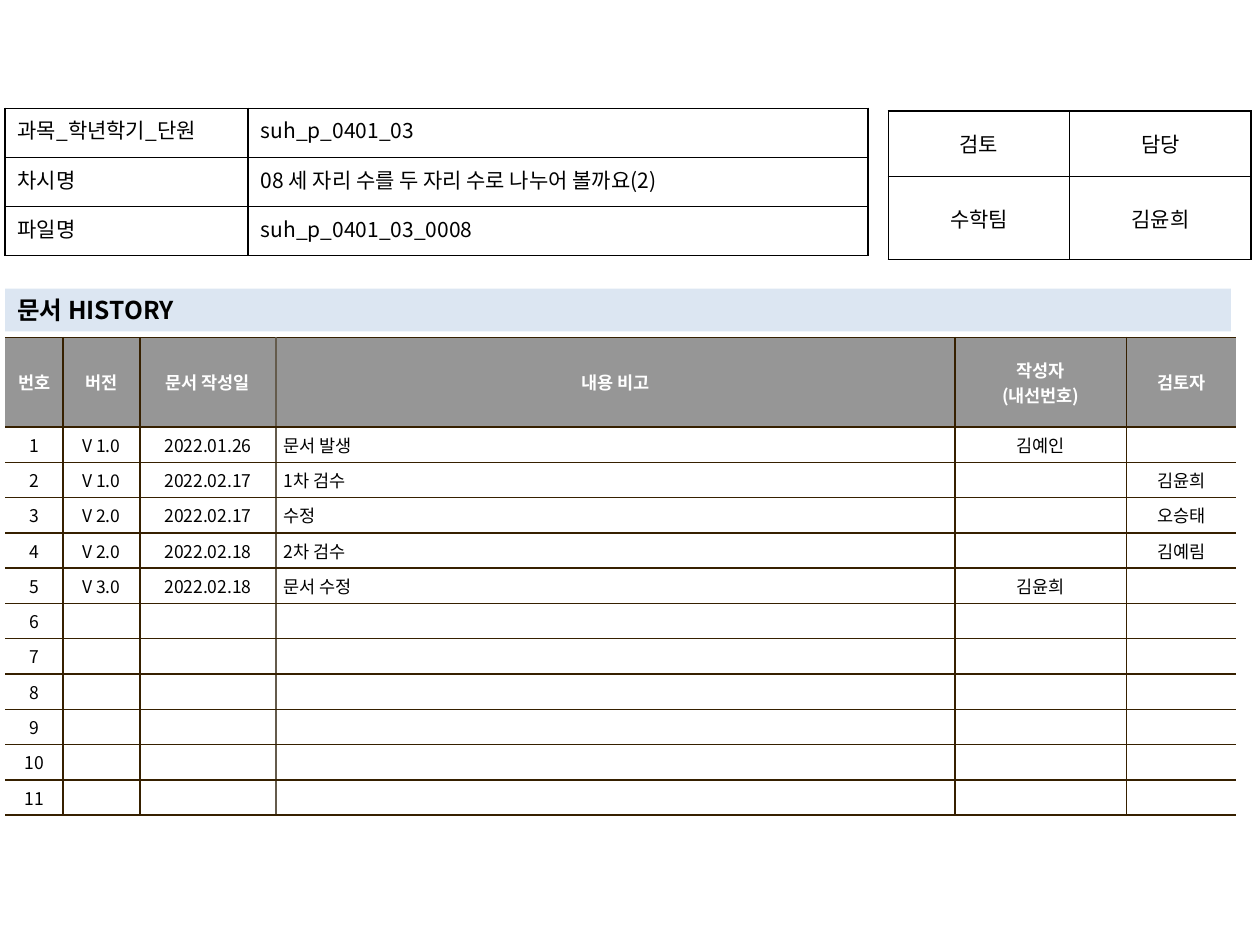
import dataclasses

import lxml.etree
import pptx
import pptx.dml.color
import pptx.enum.shapes
import pptx.enum.text
import pptx.oxml.ns
import pptx.util

Inches = pptx.util.Inches
ALIGN = pptx.enum.text.PP_ALIGN
MIDDLE = pptx.enum.text.MSO_ANCHOR.MIDDLE
TOP = pptx.enum.text.MSO_ANCHOR.TOP
qn = pptx.oxml.ns.qn
rgb = pptx.dml.color.RGBColor.from_string


@dataclasses.dataclass(frozen=True)
class Theme:
    font: str = "Noto Sans CJK KR"
    ink: str = "000000"
    paper: str = "FFFFFF"
    header: str = "969696"
    band: str = "DCE6F2"
    rule: str = "362000"
    soft_rule: str = "645B4C"
    small: int = 10
    body: int = 12
    title: int = 14


theme = Theme()


def write(frame, text, size=theme.body, color=theme.ink, bold=False, align=ALIGN.LEFT):
    """Fill a text frame, one paragraph per line; an empty text keeps its size."""
    for number, line in enumerate(text.split("\n")):
        paragraph = frame.add_paragraph() if number else frame.paragraphs[0]
        paragraph.alignment = align
        if not line:
            lxml.etree.SubElement(paragraph._p, qn("a:endParaRPr"), sz=str(size * 100))
            continue
        run = paragraph.add_run()
        run.text = line
        run.font.name = theme.font
        run.font.size = pptx.util.Pt(size)
        run.font.bold = bold
        run.font.color.rgb = rgb(color)
        lxml.etree.SubElement(run._r.get_or_add_rPr(), qn("a:ea"), typeface=theme.font)


def style_cell(cell, borders, fill=None, anchor=MIDDLE, inset=(0.1, 0.05)):
    """Set borders (colours for left, right, top, bottom; None for no line), fill and insets."""
    cell.margin_left = cell.margin_right = Inches(inset[0])
    cell.margin_top = cell.margin_bottom = Inches(inset[1])
    cell.vertical_anchor = anchor
    properties = cell._tc.get_or_add_tcPr()
    for side, color in zip("LRTB", borders):
        line = lxml.etree.SubElement(properties, qn(f"a:ln{side}"), w="12700")
        if color:
            solid = lxml.etree.SubElement(line, qn("a:solidFill"))
            lxml.etree.SubElement(solid, qn("a:srgbClr"), val=color)
        else:
            lxml.etree.SubElement(line, qn("a:noFill"))
    if fill:
        cell.fill.solid()
        cell.fill.fore_color.rgb = rgb(fill)
    else:
        cell.fill.background()


presentation = pptx.Presentation()
presentation.slide_width = Inches(10)
presentation.slide_height = Inches(7.5)
slide = presentation.slides.add_slide(presentation.slide_layouts[6])

history_rows = [
    ["번호", "버전", "문서 작성일", "내용 비고", "작성자\n(내선번호)", "검토자"],
    ["1", "V 1.0", "2022.01.26", "문서 발생", "김예인", ""],
    ["2", "V 1.0", "2022.02.17", "1차 검수", "", "김윤희"],
    ["3", "V 2.0", "2022.02.17", "수정", "", "오승태"],
    ["4", "V 2.0", "2022.02.18", "2차 검수", "", "김예림"],
    ["5", "V 3.0", "2022.02.18", "문서 수정", "김윤희", ""],
] + [[str(number), "", "", "", "", ""] for number in range(6, 12)]
approval_rows = [["검토", "담당"], ["수학팀", "김윤희"]]
document_rows = [
    ["과목_학년학기_단원", "suh_p_0401_03"],
    ["차시명", "08 세 자리 수를 두 자리 수로 나누어 볼까요(2)"],
    ["파일명", "suh_p_0401_03_0008"],
]

# content, left, top, column widths, row heights
tables = [
    (history_rows, 0.04, 2.68, [0.46, 0.61, 1.08, 5.39, 1.36, 0.87], [0.71] + [0.25] * 11),
    (approval_rows, 7.05, 0.88, [1.44, 1.44], [0.52, 0.66]),
    (document_rows, 0.04, 0.86, [1.93, 4.92], [0.39] * 3),
]
# The history table is open at both sides, with a softer rule before the remarks.
history_rules = [None, theme.rule, theme.rule, theme.soft_rule, theme.rule, theme.rule, None]

for content, left, top, widths, heights in tables:
    table = slide.shapes.add_table(
        len(heights), len(widths), Inches(left), Inches(top),
        Inches(sum(widths)), Inches(sum(heights))).table
    table.first_row = table.horz_banding = False
    for column, width in zip(table.columns, widths):
        column.width = Inches(width)
    for row, height in zip(table.rows, heights):
        row.height = Inches(height)
    for row, texts in enumerate(content):
        for column, text in enumerate(texts):
            cell = table.cell(row, column)
            if content is history_rows:
                is_header = row == 0
                is_remark = column == 3 and not is_header
                style_cell(cell, history_rules[column:column + 2] + [theme.rule] * 2,
                           fill=theme.header if is_header else theme.paper,
                           inset=(0.06, 0.04))
                write(cell.text_frame, text, size=theme.small, bold=is_header,
                      color=theme.paper if is_header else theme.ink,
                      align=ALIGN.LEFT if is_remark else ALIGN.CENTER)
            elif content is approval_rows:
                style_cell(cell, [theme.ink] * 4)
                write(cell.text_frame, text, align=ALIGN.CENTER)
            else:
                style_cell(cell, [theme.ink] * 4, anchor=TOP)
                write(cell.text_frame, text,
                      align=ALIGN.LEFT if column else ALIGN.JUSTIFY)

heading = slide.shapes.add_shape(
    pptx.enum.shapes.MSO_SHAPE.RECTANGLE,
    Inches(0.04), Inches(2.29), Inches(9.73), Inches(0.34))
heading.shadow.inherit = False
heading.fill.solid()
heading.fill.fore_color.rgb = rgb(theme.band)
heading.line.fill.background()
heading.text_frame.word_wrap = True
heading.text_frame.auto_size = pptx.enum.text.MSO_AUTO_SIZE.SHAPE_TO_FIT_TEXT
write(heading.text_frame, "문서 HISTORY", size=theme.title, bold=True)

presentation.save("out.pptx")
